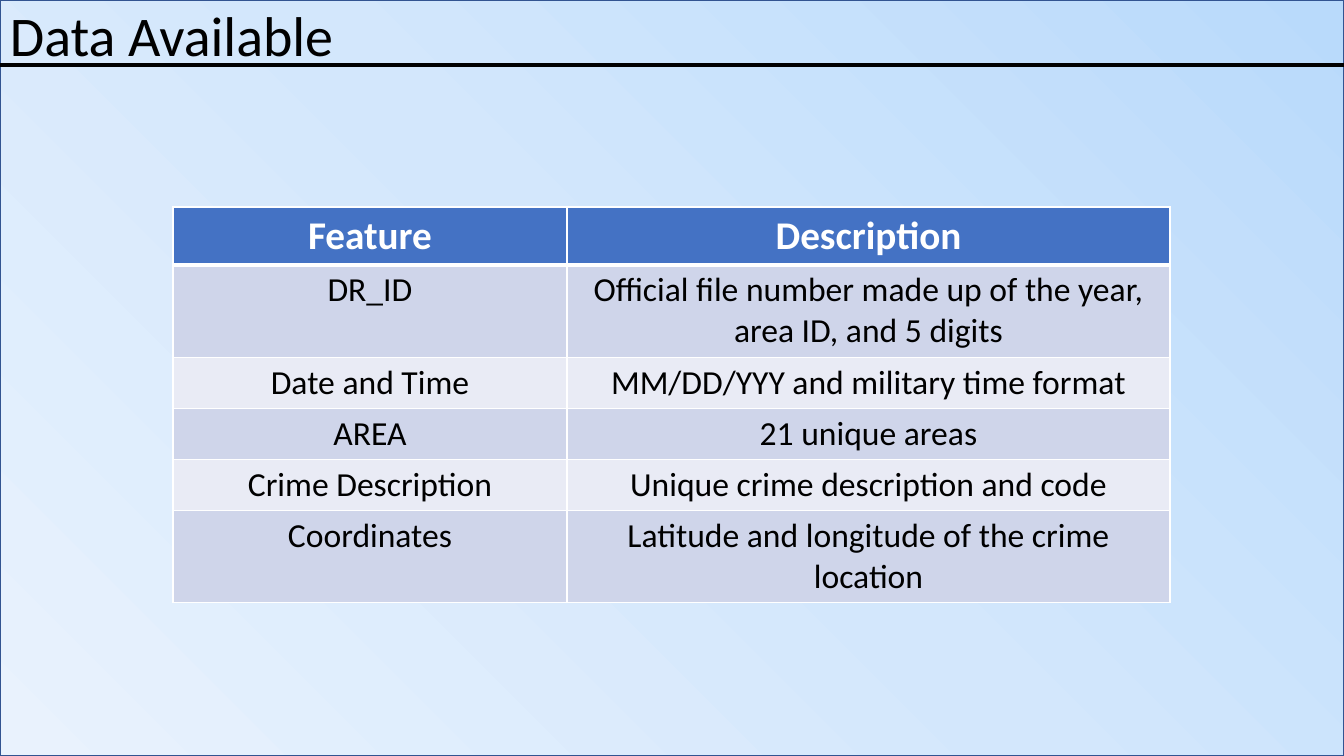
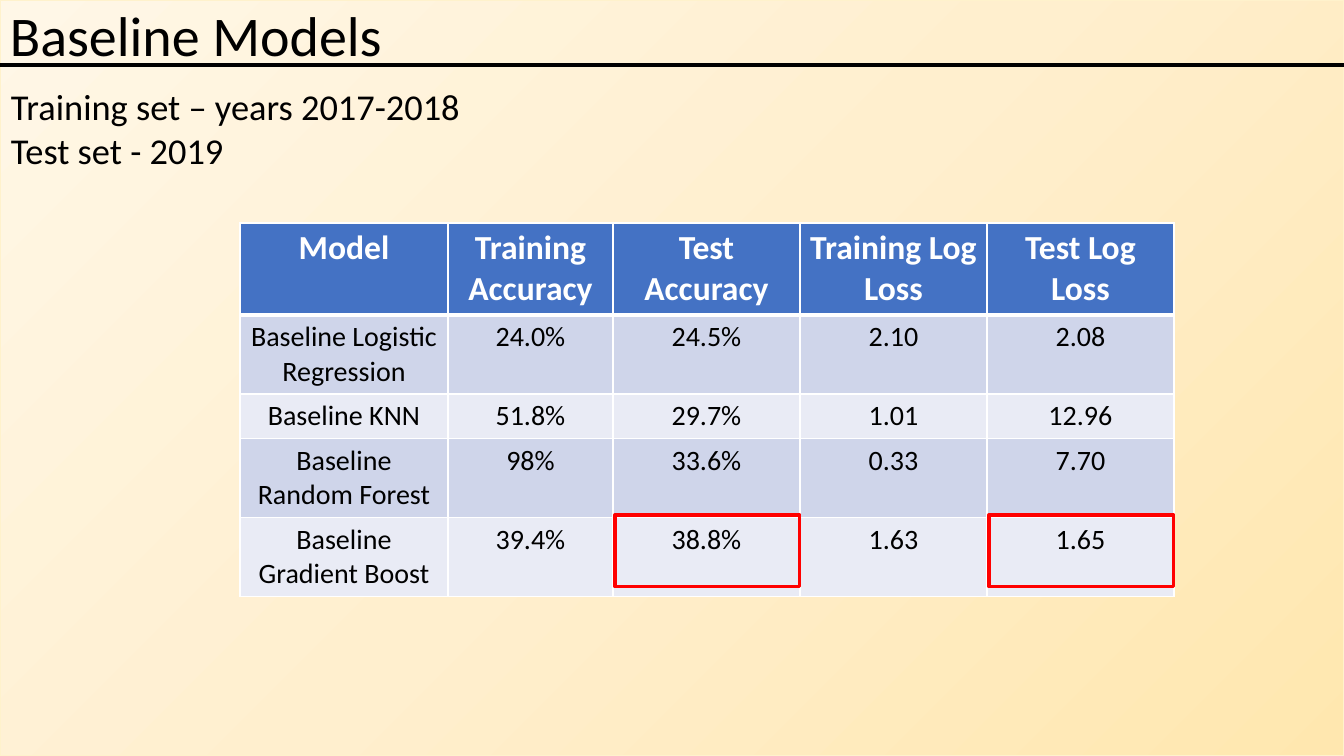
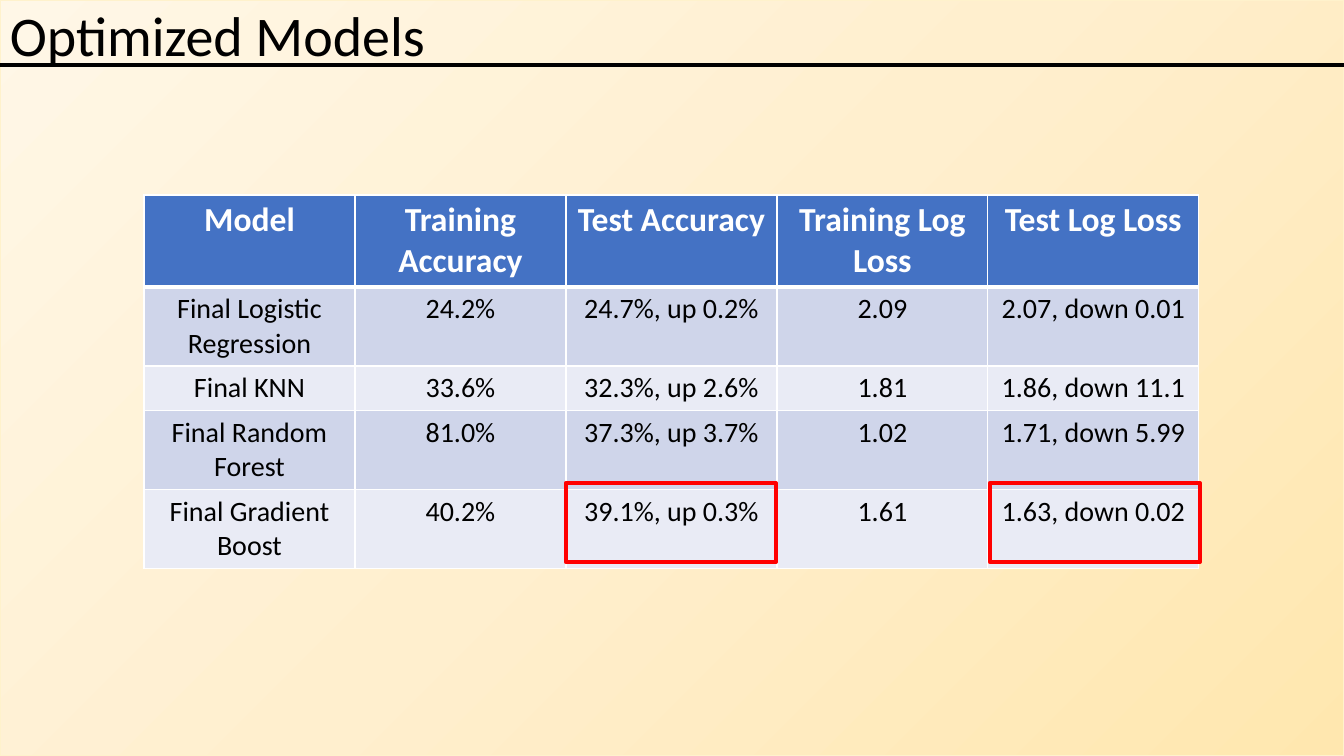
import lxml.etree
import pptx
import pptx.dml.color
import pptx.enum.shapes
import pptx.enum.text
import pptx.oxml
import pptx.oxml.ns
import pptx.util

SCALE = 914400 / 100.8
WIDTH, HEIGHT = 1344, 756
THEME = {
    "font": "Calibri",
    "ink": "000000",
    "white": "FFFFFF",
    "header": "4472C4",
    "bands": ("CFD5EA", "E9EBF5"),
    "highlight": "FF0000",
    "title_size": 40,
    "note_size": 26,
    "blue": {
        "stops": ("B9DAFB", "D3E7FC", "E9F2FD"),
        "direction": '<a:lin ang="8100000" scaled="1"/>',
        "line": "325491",
    },
    "cream": {
        "stops": ("FFE7AF", "FFEFCE", "FFF7E7"),
        "direction": '<a:path path="circle"><a:fillToRect l="100000" t="100000"/></a:path>',
        "line": "FFF2CC",
    },
}
MODEL_HEADER = ("Model", "Training Accuracy", "Test Accuracy", "Training Log Loss", "Test Log Loss")
MODEL_ROWS = (92, 79, 44, 79, 79)

slides = [
    {
        "title": "Data Available", "background": "blue", "notes": (),
        "corner": (173, 207), "columns": (394, 603), "rows": (58, 92, 51, 51, 51, 92),
        "sizes": (28, 24),
        "cells": (
            ("Feature", "Description"),
            ("DR_ID", "Official file number made up of the year, area ID, and 5 digits"),
            ("Date and Time", "MM/DD/YYY and military time format"),
            ("AREA", "21 unique areas"),
            ("Crime Description", "Unique crime description and code"),
            ("Coordinates", "Latitude and longitude of the crime location"),
        ),
        "highlights": (), "highlight_width": 0,
    },
    {
        "title": "Baseline Models", "background": "cream",
        "notes": ("Training set – years 2017-2018", "Test set - 2019"),
        "corner": (240, 223), "columns": (208, 165, 187, 187, 187), "rows": MODEL_ROWS,
        "sizes": (24, 20),
        "cells": (
            MODEL_HEADER,
            ("Baseline Logistic Regression", "24.0%", "24.5%", "2.10", "2.08"),
            ("Baseline KNN", "51.8%", "29.7%", "1.01", "12.96"),
            ("Baseline Random Forest", "98%", "33.6%", "0.33", "7.70"),
            ("Baseline Gradient Boost", "39.4%", "38.8%", "1.63", "1.65"),
        ),
        "highlights": ((615, 515, 185, 72), (989, 515, 185, 72)), "highlight_width": 2.25,
    },
    {
        "title": "Optimized Models", "background": "cream", "notes": (),
        "corner": (144, 195), "columns": (211,) * 5, "rows": MODEL_ROWS,
        "sizes": (24, 20),
        "cells": (
            MODEL_HEADER,
            ("Final Logistic Regression", "24.2%", "24.7%, up 0.2%", "2.09", "2.07, down 0.01"),
            ("Final KNN", "33.6%", "32.3%, up 2.6%", "1.81", "1.86, down 11.1"),
            ("Final Random Forest", "81.0%", "37.3%, up 3.7%", "1.02", "1.71, down 5.99"),
            ("Final Gradient Boost", "40.2%", "39.1%, up 0.3%", "1.61", "1.63, down 0.02"),
        ),
        "highlights": ((566, 483, 210, 79), (990, 483, 210, 79)), "highlight_width": 3,
    },
]


def emu(*pixels):
    """Turn pixel lengths into a list of EMU lengths."""
    return [pptx.util.Emu(round(pixel * SCALE)) for pixel in pixels]


def add_span(para, text, size, color, bold=False):
    """Add one formatted run to a paragraph."""
    span = para.add_run()
    span.text = text
    span.font.name = THEME["font"]
    span.font.size = pptx.util.Pt(size)
    span.font.bold = bold
    span.font.color.rgb = pptx.dml.color.RGBColor.from_string(color)


deck = pptx.Presentation()
deck.slide_width, deck.slide_height = emu(WIDTH, HEIGHT)
rectangle = pptx.enum.shapes.MSO_SHAPE.RECTANGLE
namespace = pptx.oxml.ns.nsdecls("a")

for content in slides:
    page = deck.slides.add_slide(deck.slide_layouts[6])

    # Gradient background
    look = THEME[content["background"]]
    background = page.shapes.add_shape(rectangle, *emu(0, 0, WIDTH, HEIGHT))
    background.shadow.inherit = False
    background.line.color.rgb = pptx.dml.color.RGBColor.from_string(look["line"])
    background.line.width = pptx.util.Pt(1)
    stops = "".join(
        f'<a:gs pos="{index * 50000}"><a:srgbClr val="{color}"/></a:gs>'
        for index, color in enumerate(look["stops"])
    )
    gradient = pptx.oxml.parse_xml(
        f'<a:gradFill {namespace} rotWithShape="1"><a:gsLst>{stops}</a:gsLst>'
        f'{look["direction"]}</a:gradFill>'
    )
    geometry = background.element.spPr.find(pptx.oxml.ns.qn("a:prstGeom"))
    geometry.addnext(gradient)

    # Table
    columns, rows = content["columns"], content["rows"]
    frame = page.shapes.add_table(
        len(rows), len(columns), *emu(*content["corner"], sum(columns), sum(rows))
    )
    table = frame.table
    for column, width in zip(table.columns, emu(*columns)):
        column.width = width
    for row, height in zip(table.rows, emu(*rows)):
        row.height = height
    for row_index, texts in enumerate(content["cells"]):
        is_header = row_index == 0
        fill = THEME["header"] if is_header else THEME["bands"][(row_index - 1) % 2]
        ink = THEME["white"] if is_header else THEME["ink"]
        size = content["sizes"][0 if is_header else 1]
        borders = {"lnL": 1, "lnR": 1, "lnT": 3 if row_index == 1 else 1, "lnB": 3 if is_header else 1}
        for column_index, text in enumerate(texts):
            cell = table.cell(row_index, column_index)
            properties = cell._tc.get_or_add_tcPr()
            for edge, points in borders.items():
                properties.append(pptx.oxml.parse_xml(
                    f'<a:{edge} {namespace} w="{pptx.util.Pt(points)}"><a:solidFill>'
                    f'<a:srgbClr val="{THEME["white"]}"/></a:solidFill></a:{edge}>'
                ))
            cell.fill.solid()
            cell.fill.fore_color.rgb = pptx.dml.color.RGBColor.from_string(fill)
            para = cell.text_frame.paragraphs[0]
            para.alignment = pptx.enum.text.PP_ALIGN.CENTER
            add_span(para, text, size, ink, is_header)

    # Highlighted results
    for place in content["highlights"]:
        highlight = page.shapes.add_shape(rectangle, *emu(*place))
        highlight.shadow.inherit = False
        highlight.fill.background()
        highlight.line.color.rgb = pptx.dml.color.RGBColor.from_string(THEME["highlight"])
        highlight.line.width = pptx.util.Pt(content["highlight_width"])

    # Notes on the data split
    if content["notes"]:
        note_box = page.shapes.add_textbox(*emu(1, 79, 692, 99))
        note_box.text_frame.word_wrap = True
        for index, note in enumerate(content["notes"]):
            para = note_box.text_frame.add_paragraph() if index else note_box.text_frame.paragraphs[0]
            add_span(para, note, THEME["note_size"], THEME["ink"])

    # Title and rule
    title_box = page.shapes.add_textbox(*emu(0, 0, WIDTH, 77))
    title_box.text_frame.word_wrap = True
    title_box.text_frame.vertical_anchor = pptx.enum.text.MSO_ANCHOR.MIDDLE
    para = title_box.text_frame.paragraphs[0]
    para.line_spacing = 0.9
    add_span(para, content["title"], THEME["title_size"], THEME["ink"])

    rule = page.shapes.add_connector(
        pptx.enum.shapes.MSO_CONNECTOR.STRAIGHT, *emu(0, 65, WIDTH, 65)
    )
    rule.line.color.rgb = pptx.dml.color.RGBColor.from_string(THEME["ink"])
    rule.line.width = pptx.util.Pt(3)
    lxml.etree.SubElement(rule.element.spPr, pptx.oxml.ns.qn("a:effectLst"))

deck.save("out.pptx")
